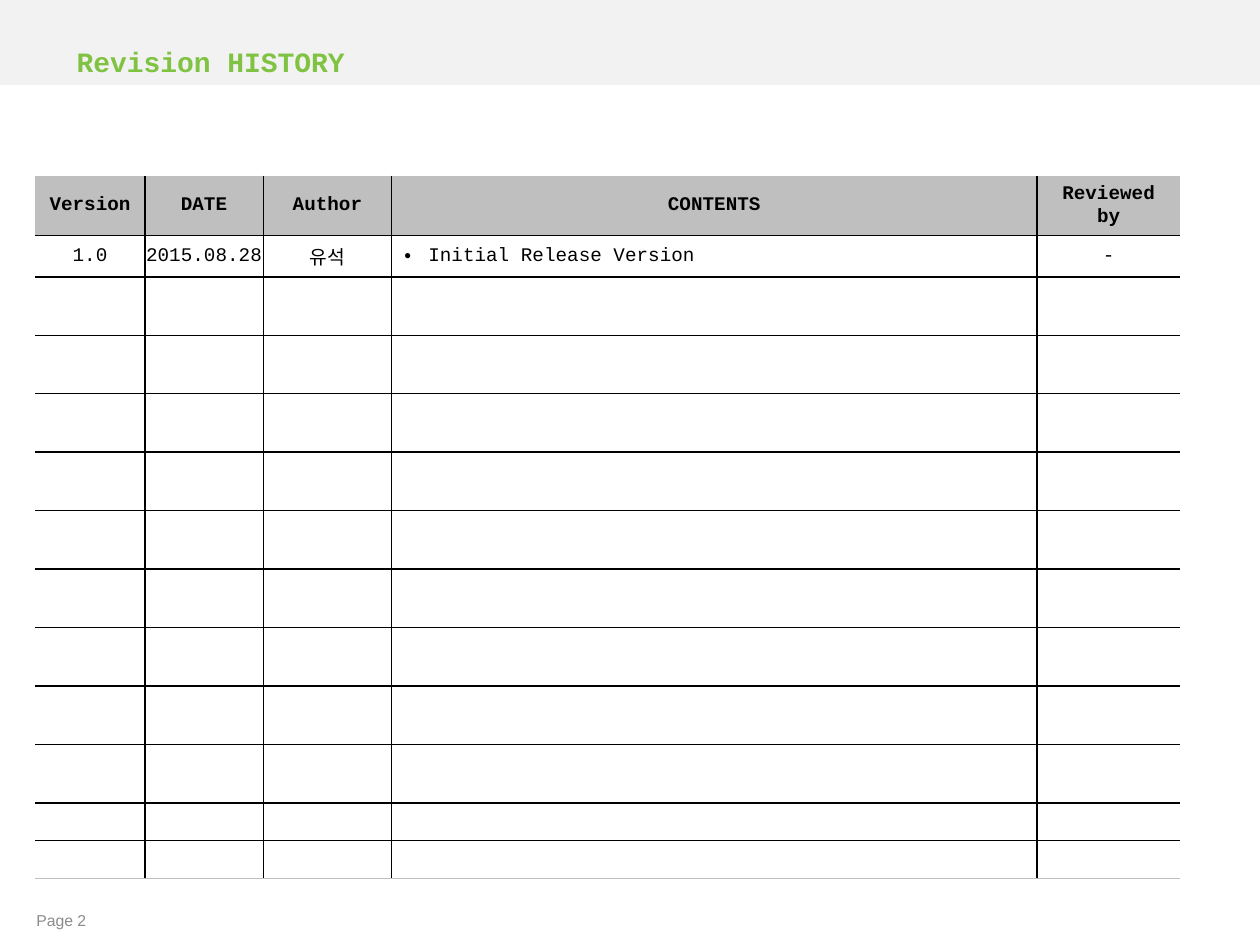
from dataclasses import dataclass

from lxml import etree
from pptx import Presentation
from pptx import util as u
from pptx.dml.color import RGBColor
from pptx.enum import shapes, text
from pptx.oxml.ns import qn


@dataclass(frozen=True)
class Theme:
    band: str = "F2F2F2"
    header: str = "BFBFBF"
    ink: str = "000000"
    title: str = "80C342"
    page: str = "8C8C8C"
    mono: str = "Courier New"
    sans: str = "Arial"
    title_size: int = 16
    table_size: int = 11
    page_size: int = 9
    rule: int = 1


@dataclass(frozen=True)
class Area:
    left: float
    top: float
    width: float
    height: float

    def lengths(self) -> tuple:
        return tuple(u.Inches(share * side) for share, side in zip(
            (self.left, self.top, self.width, self.height), (WIDTH, HEIGHT) * 2))


@dataclass(frozen=True)
class Label:
    words: str
    area: Area
    font: str
    size: int
    color: str
    bold: bool = False


@dataclass(frozen=True)
class Column:
    heading: str
    width: float
    entry: str
    inset: float = 0.04
    bullet: bool = False


THEME = Theme()
WIDTH, HEIGHT = 10, 7.5
BAND = Area(0, 0, 1, 0.09)
TABLE_LEFT, TABLE_TOP = 0.28, 1.4
ROW_HEIGHTS = [0.46, 0.33] + [0.464] * 9 + [0.3] * 2
INDENT = 0.19
COLUMNS = [
    Column("Version", 0.87, "1.0"),
    Column("DATE", 0.94, "2015.08.28", inset=0),
    Column("Author", 1.02, "유석"),
    Column("CONTENTS", 5.12, "Initial Release Version", inset=0.1, bullet=True),
    Column("Reviewed by", 1.14, "-"),
]
LABELS = [
    Label("Page 2", Area(0.019, 0.956, 0.08, 0.036),
          THEME.sans, THEME.page_size, THEME.page),
    Label("Revision HISTORY", Area(0.051, 0.04, 0.33, 0.05),
          THEME.mono, THEME.title_size, THEME.title, True),
]


def add_span(para, words: str, font: str, size: int, color: str, bold: bool) -> None:
    span = para.add_run()
    span.text = words
    span.font.name = font
    span.font.size = u.Pt(size)
    span.font.bold = bold
    span.font.color.rgb = RGBColor.from_string(color)


def add_band(page) -> None:
    band = page.shapes.add_shape(shapes.MSO_SHAPE.RECTANGLE, *BAND.lengths())
    band.shadow.inherit = False
    band.fill.solid()
    band.fill.fore_color.rgb = RGBColor.from_string(THEME.band)
    band.line.fill.background()


def add_label(page, label: Label) -> None:
    box = page.shapes.add_textbox(*label.area.lengths())
    box.text_frame.word_wrap = True
    box.text_frame.vertical_anchor = text.MSO_ANCHOR.MIDDLE
    add_span(box.text_frame.paragraphs[0], label.words, label.font,
             label.size, label.color, label.bold)


def set_borders(cell, colors: dict) -> None:
    properties = cell._tc.get_or_add_tcPr()
    for position, side in enumerate(("lnL", "lnR", "lnT", "lnB")):
        line = etree.Element(qn(f"a:{side}"), w=str(u.Pt(THEME.rule)))
        if colors.get(side):
            fill = etree.SubElement(line, qn("a:solidFill"))
            etree.SubElement(fill, qn("a:srgbClr"), val=colors[side])
        else:
            etree.SubElement(line, qn("a:noFill"))
        properties.insert(position, line)


def add_bullet(para) -> None:
    properties = para._p.get_or_add_pPr()
    properties.set("marL", str(u.Inches(INDENT)))
    properties.set("indent", str(-u.Inches(INDENT)))
    etree.SubElement(properties, qn("a:buFont"), typeface=THEME.sans)
    etree.SubElement(properties, qn("a:buChar"), char="•")


def fill_cell(cell, words: str, inset: float, header: bool, bullet: bool) -> None:
    cell.vertical_anchor = text.MSO_ANCHOR.MIDDLE
    cell.margin_left = cell.margin_right = u.Inches(inset)
    para = cell.text_frame.paragraphs[0]
    if bullet:
        add_bullet(para)
    else:
        para.alignment = text.PP_ALIGN.CENTER
    if words:
        add_span(para, words, THEME.mono, THEME.table_size, THEME.ink, header)
    else:
        etree.SubElement(para._p, qn("a:endParaRPr"), sz=str(THEME.table_size * 100))
    if header:
        cell.fill.solid()
        cell.fill.fore_color.rgb = RGBColor.from_string(THEME.header)
    else:
        cell.fill.background()


def add_history(page) -> None:
    last_row, last_column = len(ROW_HEIGHTS) - 1, len(COLUMNS) - 1
    frame = page.shapes.add_table(
        len(ROW_HEIGHTS), len(COLUMNS), u.Inches(TABLE_LEFT), u.Inches(TABLE_TOP),
        u.Inches(sum(column.width for column in COLUMNS)), u.Inches(sum(ROW_HEIGHTS)))
    table = frame.table
    table.horz_banding = False
    for row, height in enumerate(ROW_HEIGHTS):
        table.rows[row].height = u.Inches(height)
    for index, column in enumerate(COLUMNS):
        table.columns[index].width = u.Inches(column.width)
        for row in range(len(ROW_HEIGHTS)):
            header = row == 0
            words = {0: column.heading, 1: column.entry}.get(row, "")
            cell = table.cell(row, index)
            fill_cell(cell, words, 0.1 if header else column.inset,
                      header, column.bullet and row == 1)
            set_borders(cell, {
                "lnL": THEME.ink if index else None,
                "lnR": THEME.ink if index < last_column else None,
                "lnT": THEME.header if header else THEME.ink,
                "lnB": THEME.header if row == last_row else THEME.ink,
            })


def main() -> None:
    deck = Presentation()
    deck.slide_width, deck.slide_height = u.Inches(WIDTH), u.Inches(HEIGHT)
    page = deck.slides.add_slide(deck.slide_layouts[6])
    add_band(page)
    for label in LABELS:
        add_label(page, label)
    add_history(page)
    deck.save("out.pptx")


if __name__ == "__main__":
    main()
